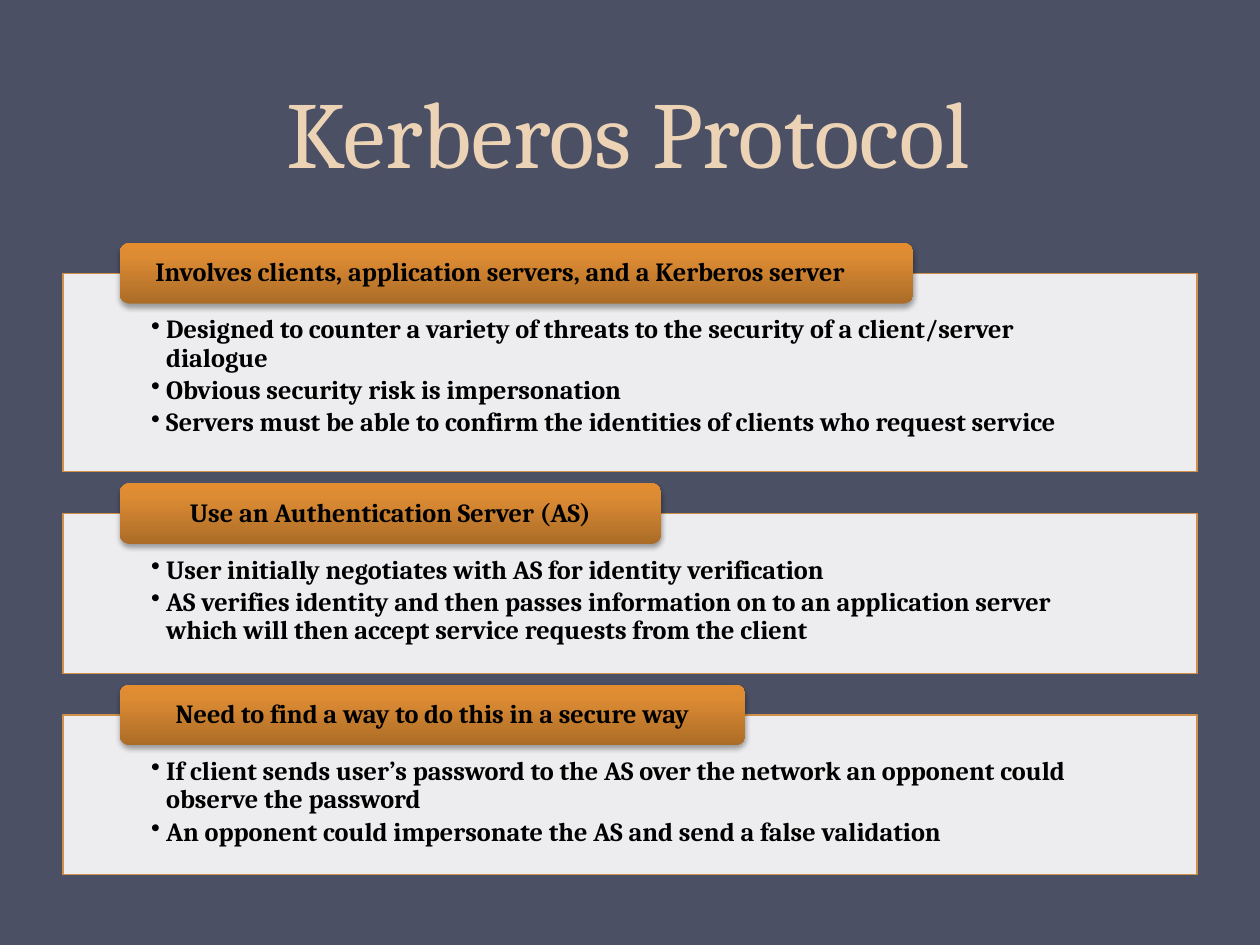
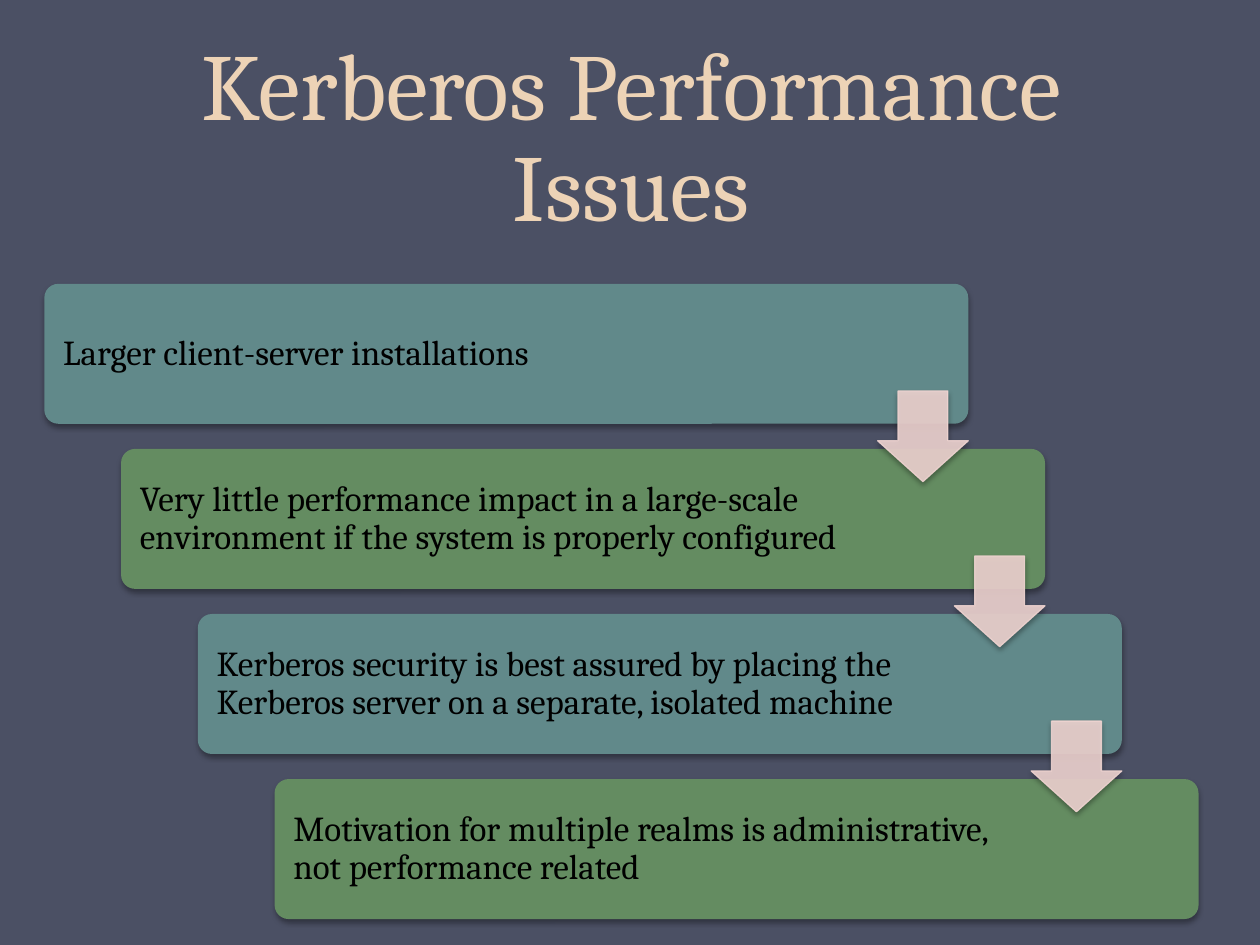
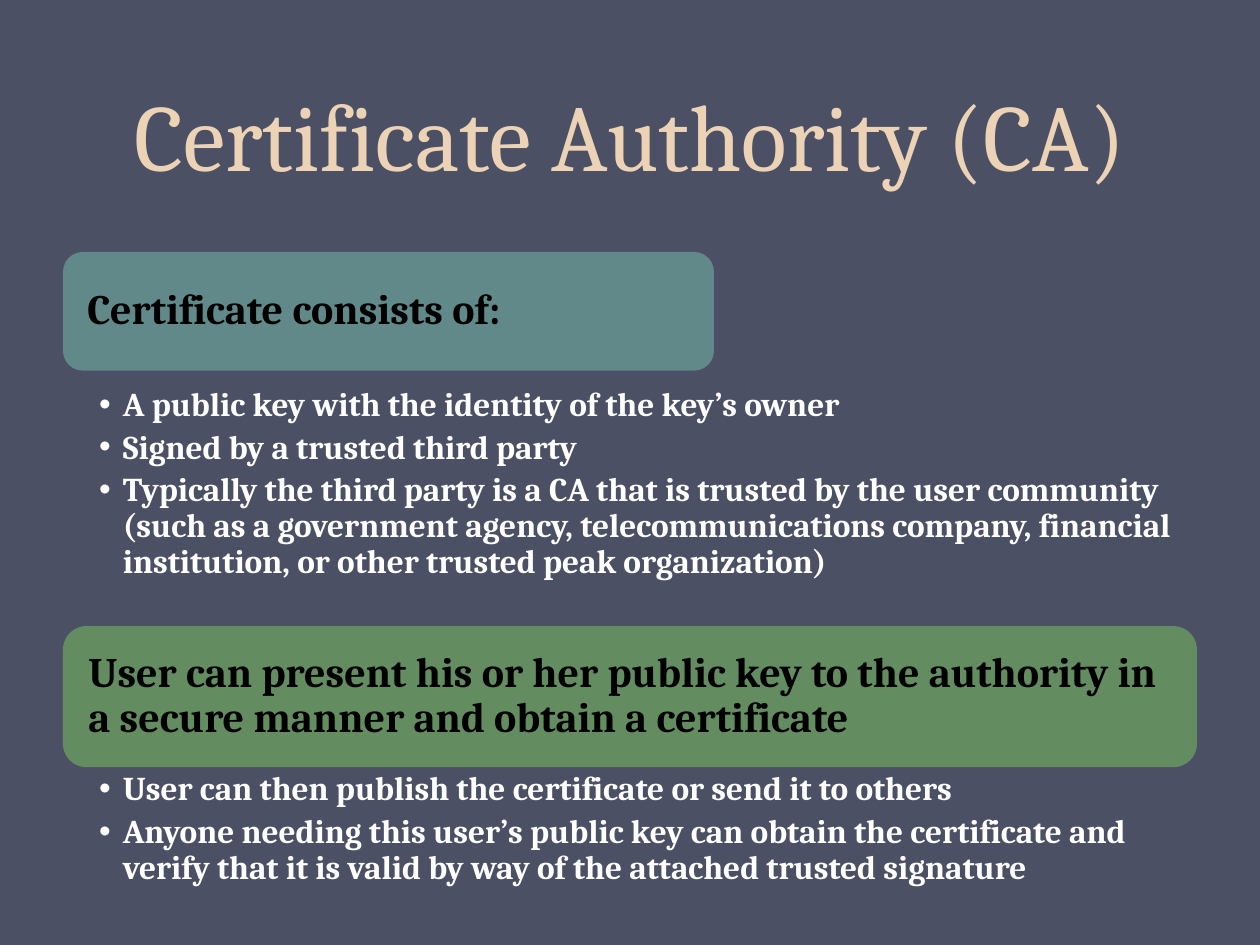
from copy import deepcopy

from lxml import etree
from pptx import Presentation
from pptx.dml.color import RGBColor
from pptx.enum import shapes, text
from pptx.oxml.ns import qn
from pptx.util import Pt

COLORS = {
    "background": "4B5064",
    "title": "EDD3B6",
    "ink": "000000",
    "light": "FFFFFF",
    "panel_edge": "D19049",
    "teal": "61898A",
    "green": "648C61",
    "arrow": "EED3D0",
}
TAB_STOPS = [(0, "AB6C27"), (0.8, "DE8C33"), (1, "E38D30")]
FONT = "Cambria"

TOPICS = [
    ("Involves clients, application servers, and a Kerberos server", 453.6, 113.4, text.PP_ALIGN.LEFT, [
        "Designed to counter a variety of threats to the security of a client/server dialogue",
        "Obvious security risk is impersonation",
        "Servers must be able to confirm the identities of clients who request service",
    ]),
    ("Use an Authentication Server (AS)", 309.6, 91.2, text.PP_ALIGN.CENTER, [
        "User initially negotiates with AS for identity verification",
        "AS verifies identity and then passes information on to an application server "
        "which will then accept service requests from the client",
    ]),
    ("Need to find a way to do this in a secure way", 357.6, 91.2, text.PP_ALIGN.CENTER, [
        "If client sends user’s password to the AS over the network an opponent could observe the password",
        "An opponent could impersonate the AS and send a false validation",
    ]),
]

ISSUES = [
    "Larger client-server installations",
    "Very little performance impact in a large-scale environment if the system is properly configured",
    "Kerberos security is best assured by placing the Kerberos server on a separate, isolated machine",
    "Motivation for multiple realms is administrative, not performance related",
]

CERTIFICATE_PARTS = [
    ("Certificate consists of:", "teal", (36, 144, 372, 67.8), (36, 219.6, 648, 131.8), [
        "A public key with the identity of the key’s owner",
        "Signed by a trusted third party",
        "Typically the third party is a CA that is trusted by the user community "
        "(such as a government agency, telecommunications company, financial institution, "
        "or other trusted peak organization)",
    ]),
    ("User can present his or her public key to the authority in a secure manner and obtain a certificate",
     "green", (36, 357.8, 648, 80.6), (36, 439.2, 648, 80), [
        "User can then publish the certificate or send it to others",
        "Anyone needing this user’s public key can obtain the certificate and verify that it is valid "
        "by way of the attached trusted signature",
    ]),
]


def rgb(name):
    return RGBColor.from_string(COLORS[name])


def move(item, box):
    item.left, item.top, item.width, item.height = map(Pt, box)


def set_frame(frame, margins, anchor):
    frame.word_wrap = True
    frame.auto_size = text.MSO_AUTO_SIZE.NONE
    frame.vertical_anchor = anchor
    frame.margin_left, frame.margin_top, frame.margin_right, frame.margin_bottom = map(Pt, margins)


def write(item, lines, size, color, margins, bold=False, align=text.PP_ALIGN.LEFT,
          anchor=text.MSO_ANCHOR.MIDDLE, spacing=0.9, after=0, indent=0):
    frame = item.text_frame
    set_frame(frame, margins, anchor)
    frame.text = "\n".join(lines)
    for paragraph in frame.paragraphs:
        if indent:
            props = paragraph._p.get_or_add_pPr()
            props.set("marL", str(Pt(indent)))
            props.set("indent", str(-Pt(indent)))
            etree.SubElement(props, qn("a:buChar"), char="•")
        paragraph.alignment = align
        paragraph.line_spacing = spacing
        paragraph.space_before = Pt(0)
        paragraph.space_after = Pt(after)
        for run in paragraph.runs:
            run.font.name = FONT
            run.font.size = Pt(size)
            run.font.bold = bold
            run.font.color.rgb = rgb(color)


def write_list(item, lines, size, color, margins, after, indent):
    write(item, lines, size, color, margins, bold=True, anchor=text.MSO_ANCHOR.TOP,
          after=after, indent=indent)


def add_block(slide, kind, box, fill, edge=None):
    block = slide.shapes.add_shape(kind, *map(Pt, box))
    block.shadow.inherit = False
    block.fill.solid()
    block.fill.fore_color.rgb = rgb(fill)
    if edge:
        block.line.color.rgb = rgb(edge)
        block.line.width = Pt(0.75)
    else:
        block.line.fill.background()
    return block


def set_alpha(color_element, percent):
    etree.SubElement(color_element, qn("a:alpha"), val=str(percent * 1000))


def cast_shadow(block):
    effects = block._element.spPr.find(qn("a:effectLst"))
    outer = etree.SubElement(effects, qn("a:outerShdw"), blurRad=str(Pt(3.1)), dist=str(Pt(1.8)),
                             dir="5400000", rotWithShape="0")
    set_alpha(etree.SubElement(outer, qn("a:srgbClr"), val=COLORS["ink"]), 35)


def shade_tab(tab):
    tab.fill.gradient()
    tab.fill.gradient_angle = 90
    stop_list = next(tab._element.spPr.iter(qn("a:gsLst")))
    stop_list.append(deepcopy(stop_list[-1]))
    for stop, (position, color) in zip(tab.fill.gradient_stops, TAB_STOPS):
        stop.position = position
        stop.color.rgb = RGBColor.from_string(color)


def add_titled_slide(deck, layout, title, box):
    slide = deck.slides.add_slide(deck.slide_layouts.get_by_name(layout))
    move(slide.shapes.title, box)
    write(slide.shapes.title, [title], 54, "title", (7.2, 3.6, 7.2, 3.6),
          align=text.PP_ALIGN.CENTER, anchor=text.MSO_ANCHOR.BOTTOM, spacing=Pt(58))
    return slide


def add_topic(slide, box, heading, tab_width, align, points):
    left, top, width, height = box
    panel = add_block(slide, shapes.MSO_SHAPE.RECTANGLE, box, "light", "panel_edge")
    set_alpha(panel.fill._xPr.find(qn("a:solidFill"))[0], 90)
    write_list(panel, points, 15, "ink", (50.4, 24.5, 50.4, 8.6), after=2.25, indent=8.6)
    tab = add_block(slide, shapes.MSO_SHAPE.ROUNDED_RECTANGLE,
                    (left + 32.4, top - 17.3, tab_width, 34.6), "panel_edge")
    shade_tab(tab)
    cast_shadow(tab)
    write(tab, [heading], 15, "ink", (18.7, 0, 18.7, 0), bold=True, align=align)


def add_staircase(slide, box, issues):
    left, top, width, height = box
    step_width, step_height, arrow_size = 528, 80, 51.8
    shift = (width - step_width) / (len(issues) - 1)
    drop = (height - step_height) / (len(issues) - 1)
    corners = [(left + i * shift, top + i * drop) for i in range(len(issues))]
    for i, (issue, (x, y)) in enumerate(zip(issues, corners)):
        step = add_block(slide, shapes.MSO_SHAPE.ROUNDED_RECTANGLE,
                         (x, y, step_width, step_height), ("teal", "green")[i % 2])
        step.adjustments[0] = 0.1
        cast_shadow(step)
        write(step, [issue], 20, "ink", (8.4, 8.4, 104, 8.4))
    for x, y in corners[:-1]:
        arrow = add_block(slide, shapes.MSO_SHAPE.DOWN_ARROW,
                          (x + step_width - arrow_size, y + 61.2, arrow_size, arrow_size),
                          "arrow", "arrow")
        arrow.adjustments[0], arrow.adjustments[1] = 0.55, 0.45
        for color in list(arrow._element.spPr.iter(qn("a:srgbClr"))):
            set_alpha(color, 90)
        cast_shadow(arrow)


def add_certificate_part(slide, points_holder, heading, fill, heading_box, points_box, points):
    banner = add_block(slide, shapes.MSO_SHAPE.ROUNDED_RECTANGLE, heading_box, fill)
    write(banner, [heading], 24, "ink", (10.6, 10.6, 10.6, 10.6), bold=True)
    move(points_holder, points_box)
    write_list(points_holder, points, 19, "light", (20.6, 2, 13.6, 2), after=3.8, indent=13.6)


def build_protocol(deck):
    slide = add_titled_slide(deck, "Title Only", "Kerberos Protocol", (0, 20.9, 718, 90))
    top = 156.2
    for heading, tab_width, height, align, points in TOPICS:
        add_topic(slide, (36, top, 648, height), heading, tab_width, align, points)
        top += height + 23.9


def build_performance(deck):
    slide = add_titled_slide(deck, "Title Only", "Kerberos Performance Issues", (36.7, 15.1, 648, 126))
    add_staircase(slide, (25.3, 162.2, 659.6, 363), ISSUES)


def build_certificate(deck):
    slide = add_titled_slide(deck, "Two Content", "Certificate Authority (CA)", (0, -13.7, 720, 126))
    for idx, part in enumerate(CERTIFICATE_PARTS, start=1):
        add_certificate_part(slide, slide.placeholders[idx], *part)


def main():
    deck = Presentation()
    deck.slide_width, deck.slide_height = Pt(720), Pt(540)
    backdrop = deck.slide_master.background.fill
    backdrop.solid()
    backdrop.fore_color.rgb = rgb("background")
    build_protocol(deck)
    build_performance(deck)
    build_certificate(deck)
    deck.save("out.pptx")


if __name__ == "__main__":
    main()
